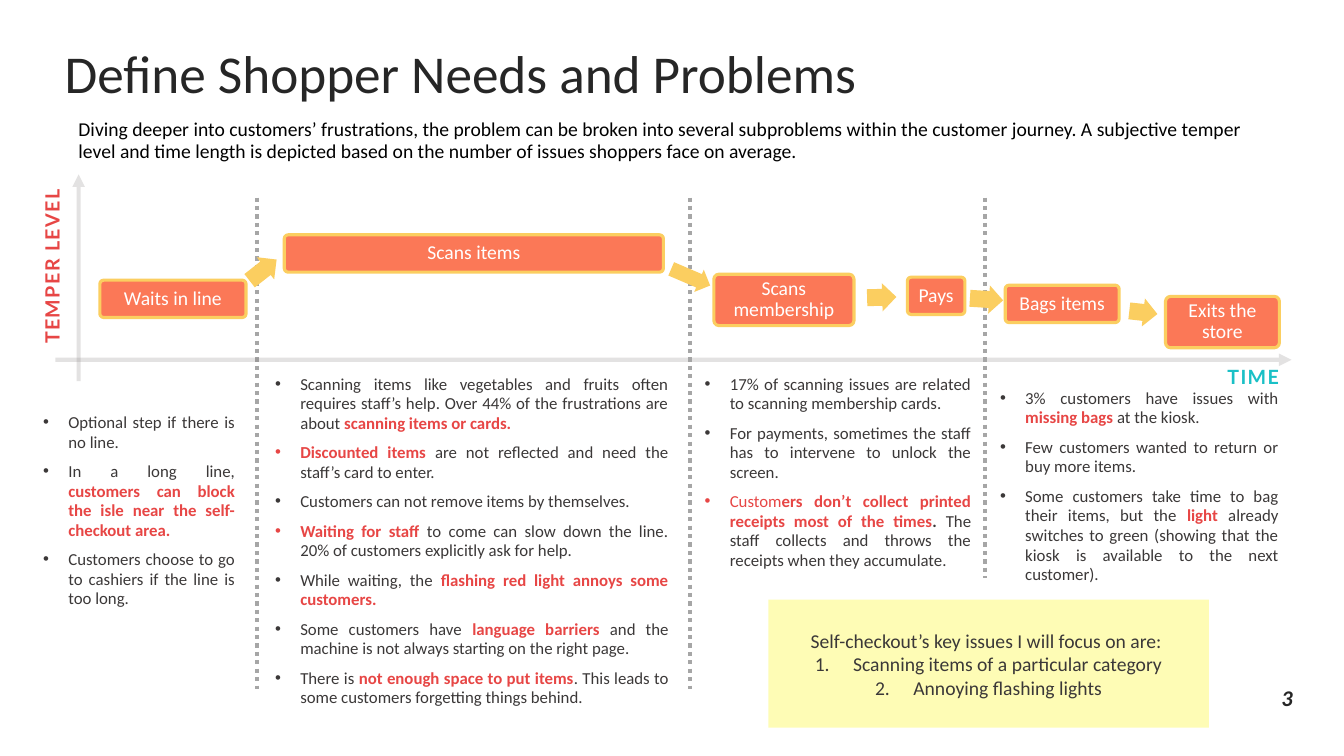
"""Build a slide that maps shopper frustrations along the checkout journey."""
from dataclasses import dataclass
from typing import NamedTuple

from lxml.etree import SubElement
from pptx import Presentation
from pptx.dml.color import RGBColor
from pptx.enum.dml import MSO_LINE
from pptx.enum.shapes import MSO_CONNECTOR, MSO_SHAPE
from pptx.enum.text import MSO_ANCHOR, MSO_AUTO_SIZE, PP_ALIGN
from pptx.oxml.ns import qn
from pptx.util import Inches, Pt

DARK, RED, ORANGE, YELLOW = "3B3838", "E74645", "FB7857", "FBCE60"
BLACK, WHITE, INK, TEAL = "000000", "FFFFFF", "262626", "1AC0C6"
DIVIDER, AXIS, NOTE = "A6A6A6", "767171", "FDFA65"


class Box(NamedTuple):
    left: float
    top: float
    width: float
    height: float


class Part(NamedTuple):
    text: str
    color: str = DARK
    bold: bool = False


@dataclass
class Step:
    label: str
    box: Box


@dataclass
class Arrow:
    box: Box
    rotation: float


@dataclass
class Line:
    start: tuple[float, float]
    end: tuple[float, float]
    is_axis: bool = False


@dataclass
class Notes:
    box: Box
    items: list[list[Part]]


@dataclass
class Label:
    text: str
    box: Box
    color: str
    rotation: float = 0


def hot(text: str) -> Part:
    return Part(text, RED, True)


STEPS = [
    Step("Waits in line", Box(0.99, 2.78, 1.45, 0.37)),
    Step("Scans items", Box(2.82, 2.33, 3.76, 0.37)),
    Step("Scans membership", Box(7.08, 2.72, 1.39, 0.51)),
    Step("Pays", Box(9, 2.75, 0.57, 0.37)),
    Step("Bags items", Box(9.97, 2.83, 1.13, 0.37)),
    Step("Exits the store", Box(11.56, 2.94, 1.13, 0.51)),
]
ARROWS = [
    Arrow(Box(2.44, 2.54, 0.34, 0.28), 321.9),
    Arrow(Box(6.64, 2.63, 0.42, 0.24), 23.2),
    Arrow(Box(8.6, 2.81, 0.29, 0.28), 358.4),
    Arrow(Box(9.62, 2.83, 0.33, 0.28), 3.6),
    Arrow(Box(11.2, 2.96, 0.28, 0.28), 6.4),
]
LINES = [
    Line((2.55, 1.96), (2.55, 6.84)),
    Line((0.78, 3.78), (0.78, 1.73), True),
    Line((0.55, 3.57), (12.81, 3.57), True),
    Line((6.84, 1.96), (6.84, 6.84)),
    Line((9.77, 1.96), (9.77, 5.73)),
]
LABELS = [
    Label("TEMPER LEVEL", Box(-0.35, 2.49, 1.76, 0.31), RED, 270),
    Label("TIME", Box(11.55, 3.6, 1.76, 0.31), TEAL),
]
NOTES = [
    Notes(Box(9.82, 3.8, 2.96, 1.54), [
        [Part("3% customers have issues with "), hot("missing bags "), Part("at the kiosk.")],
        [Part("Few customers wanted to return or buy more items.")],
        [Part("Some customers take time to bag their items, but the "), hot("light "),
         Part("already switches to green (showing that the kiosk is available to the next customer).")],
    ]),
    Notes(Box(6.89, 3.66, 2.84, 1.63), [
        [Part("17% of scanning issues are related to scanning membership cards. ")],
        [Part("For payments, sometimes the staff has to intervene to unlock the screen.")],
        [Part("Custom", RED), hot("ers don’t collect printed receipts most of the times"),
         Part(". ", DARK, True),
         Part("The staff collects and throws the receipts when they accumulate.")],
    ]),
    Notes(Box(2.63, 3.66, 4.1, 3.55), [
        [Part("Scanning items like vegetables and fruits often requires staff’s help. "
              "Over 44% of the frustrations are about "), hot("scanning items or cards.")],
        [hot("Discounted items "), Part("are not reflected and need the staff’s card to enter.")],
        [Part("Customers can not remove items by themselves.")],
        [hot("Waiting for staff"),
         Part(" to come can slow down the line. 20% of customers explicitly ask for help.")],
        [Part("While waiting, the "), hot("flashing red light annoys some customers.")],
        [Part("Some customers have "), hot("language barriers "),
         Part("and the machine is not always starting on the right page.")],
        [Part("There is "), hot("not enough space to put items"),
         Part(". This leads to some customers forgetting things behind.")],
    ]),
    Notes(Box(0.33, 4.04, 2.1, 1.47), [
        [Part("Optional step if there is no line.")],
        [Part("In a long line, "), hot("customers can block the isle near the self-checkout area. ")],
        [Part("Customers choose to go to cashiers if the line is too long. ")],
    ]),
]
KEY_ISSUES = ["Self-checkout’s key issues I will focus on are: ",
              "Scanning items of a particular category", "Annoying flashing lights"]


def rgb(color: str) -> RGBColor:
    return RGBColor.from_string(color)


def inches(box: Box) -> list:
    return [Inches(value) for value in box]


def style(run, size: float, color: str, bold: bool = False, font: str = "Calibri") -> None:
    run.font.size, run.font.name, run.font.bold = Pt(size), font, bold
    run.font.color.rgb = rgb(color)


def set_alpha(element, percent: int) -> None:
    SubElement(next(element.iter(qn("a:srgbClr"))), qn("a:alpha")).set("val", str(percent * 1000))


def add_bullet(paragraph, indent: float, tag: str, **attributes: str) -> None:
    properties = paragraph._p.get_or_add_pPr()
    properties.set("marL", str(Inches(indent)))
    properties.set("indent", str(-Inches(indent)))
    SubElement(properties, qn("a:buFont")).set("typeface", "Arial")
    SubElement(properties, qn(tag), attributes)


def set_margins(text_frame, horizontal: float, vertical: float) -> None:
    text_frame.margin_left = text_frame.margin_right = Inches(horizontal)
    text_frame.margin_top = text_frame.margin_bottom = Inches(vertical)


def add_text(slide, box: Box, text: str = ""):
    shape = slide.shapes.add_textbox(*inches(box))
    shape.text_frame.word_wrap = True
    shape.text_frame.text = text
    return shape


def add_filled(slide, kind: MSO_SHAPE, box: Box, color: str):
    shape = slide.shapes.add_shape(kind, *inches(box))
    shape.shadow.inherit = False
    shape.fill.solid()
    shape.fill.fore_color.rgb = rgb(color)
    shape.line.fill.background()
    return shape


def add_line(slide, line: Line) -> None:
    points = [Inches(value) for value in line.start + line.end]
    connector = slide.shapes.add_connector(MSO_CONNECTOR.STRAIGHT, *points)
    connector.line.width = Pt(3)
    connector.line.color.rgb = rgb(AXIS if line.is_axis else DIVIDER)
    properties = connector._element.spPr
    if line.is_axis:
        set_alpha(properties, 20)
        SubElement(properties.find(qn("a:ln")), qn("a:tailEnd")).set("type", "triangle")
    else:
        connector.line.dash_style = MSO_LINE.ROUND_DOT
    SubElement(properties, qn("a:effectLst"))


def add_label(slide, label: Label) -> None:
    shape = add_text(slide, label.box, label.text)
    shape.rotation = label.rotation
    paragraph = shape.text_frame.paragraphs[0]
    paragraph.alignment, paragraph.line_spacing = PP_ALIGN.CENTER, 0.9
    style(paragraph.runs[0], 14, label.color, True, "Lato")
    paragraph.runs[0]._r.get_or_add_rPr().set("spc", "100")


def add_step(slide, step: Step) -> None:
    shape = add_filled(slide, MSO_SHAPE.ROUNDED_RECTANGLE, step.box, ORANGE)
    shape.adjustments[0] = 0.1
    shape.line.color.rgb, shape.line.width = rgb(YELLOW), Pt(2.25)
    text_frame = shape.text_frame
    set_margins(text_frame, 0.07, 0.07)
    text_frame.word_wrap, text_frame.vertical_anchor = True, MSO_ANCHOR.MIDDLE
    text_frame.text = step.label
    paragraph = text_frame.paragraphs[0]
    paragraph.alignment, paragraph.line_spacing = PP_ALIGN.CENTER, 0.9
    style(paragraph.runs[0], 14, WHITE)


def add_arrow(slide, arrow: Arrow) -> None:
    shape = add_filled(slide, MSO_SHAPE.RIGHT_ARROW, arrow.box, YELLOW)
    shape.adjustments[0], shape.adjustments[1] = 0.6, 0.5
    shape.rotation = arrow.rotation


def add_notes(slide, notes: Notes) -> None:
    text_frame = add_text(slide, notes.box).text_frame
    for index, parts in enumerate(notes.items):
        paragraph = text_frame.add_paragraph() if index else text_frame.paragraphs[0]
        paragraph.alignment = PP_ALIGN.JUSTIFY
        paragraph.line_spacing, paragraph.space_after = Pt(14), Pt(7)
        add_bullet(paragraph, 0.25, "a:buChar", char="•")
        for part in parts:
            run = paragraph.add_run()
            run.text = part.text
            style(run, 12, part.color, part.bold)


def add_key_issues(slide) -> None:
    shape = add_filled(slide, MSO_SHAPE.RECTANGLE, Box(7.62, 5.95, 4.37, 1.27), NOTE)
    set_alpha(shape._element.spPr, 48)
    shape.text_frame.text = "\n".join(KEY_ISSUES)
    shape.text_frame.vertical_anchor = MSO_ANCHOR.MIDDLE
    for index, paragraph in enumerate(shape.text_frame.paragraphs):
        paragraph.alignment = PP_ALIGN.CENTER
        if index:
            add_bullet(paragraph, 0.38, "a:buAutoNum", type="arabicPeriod")
        style(paragraph.runs[0], 14, DARK)


def add_heading(slide) -> None:
    title = slide.shapes.title
    title.left, title.top, title.width, title.height = inches(Box(0.54, 0.47, 8.22, 0.67))
    text_frame = title.text_frame
    text_frame.text = "Define Shopper Needs and Problems"
    set_margins(text_frame, 0.1, 0)
    text_frame.auto_size, text_frame.vertical_anchor = MSO_AUTO_SIZE.NONE, MSO_ANCHOR.TOP
    paragraph = text_frame.paragraphs[0]
    paragraph.alignment, paragraph.line_spacing = PP_ALIGN.LEFT, 0.9
    style(paragraph.runs[0], 38, INK)
    summary = add_text(slide, Box(0.68, 1.14, 11.97, 0.52),
                       "Diving deeper into customers’ frustrations, the problem can be broken into several "
                       "subproblems within the customer journey. A subjective temper level and time length "
                       "is depicted based on the number of issues shoppers face on average.")
    paragraph = summary.text_frame.paragraphs[0]
    paragraph.line_spacing = 0.9
    style(paragraph.runs[0], 14, BLACK)


def add_page_number(slide) -> None:
    text_frame = add_text(slide, Box(12.32, 6.63, 0.5, 0.42), "3").text_frame
    set_margins(text_frame, 0, 0)
    text_frame.vertical_anchor = MSO_ANCHOR.BOTTOM
    paragraph = text_frame.paragraphs[0]
    paragraph.alignment, paragraph.line_spacing = PP_ALIGN.RIGHT, Pt(16.8)
    style(paragraph.runs[0], 16, INK, True)
    paragraph.runs[0].font.italic = True


def main() -> None:
    presentation = Presentation()
    presentation.slide_width, presentation.slide_height = Inches(13.33), Inches(7.5)
    slide = presentation.slides.add_slide(presentation.slide_layouts[5])
    add_heading(slide)
    for draw, items in ((add_line, LINES), (add_label, LABELS), (add_step, STEPS),
                        (add_arrow, ARROWS), (add_notes, NOTES)):
        for item in items:
            draw(slide, item)
    add_page_number(slide)
    add_key_issues(slide)
    presentation.save("out.pptx")


if __name__ == "__main__":
    main()
